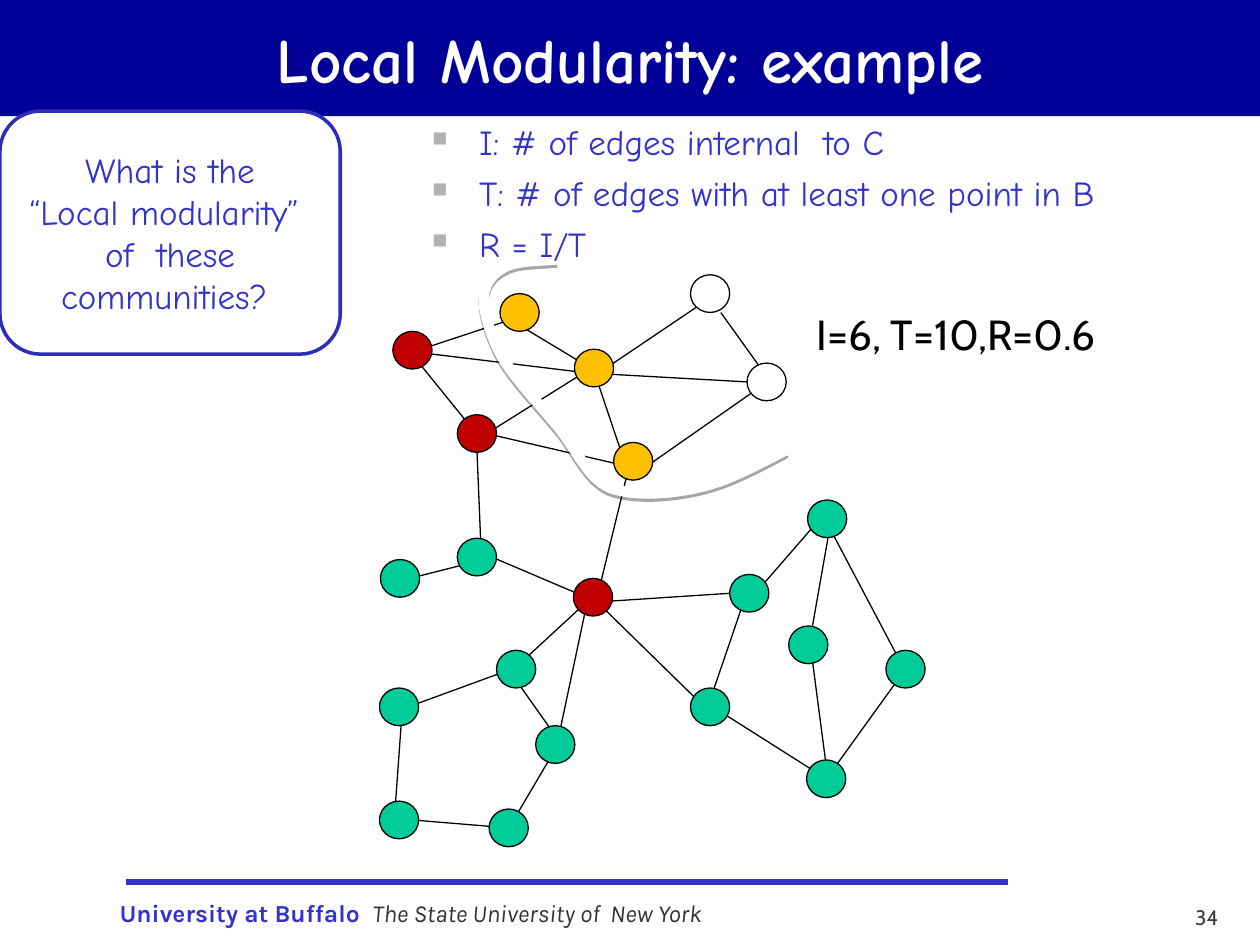
import pptx
import pptx.dml.color
import pptx.enum.shapes
import pptx.enum.text
import pptx.oxml
import pptx.oxml.ns
import pptx.util

Cm, Pt = pptx.util.Cm, pptx.util.Pt
Align = pptx.enum.text.PP_ALIGN
Anchor = pptx.enum.text.MSO_ANCHOR
Preset = pptx.enum.shapes.MSO_SHAPE

BLUE = "3333CC"
BLACK = "000000"
NODE_SIZE = (0.79, 0.76)

NODES = {
    "FFC000": [(10.08, 5.92), (11.58, 7.04), (12.37, 8.92)],
    "C00000": [(7.92, 6.68), (9.22, 8.36), (11.56, 11.66)],
    "FFFFFF": [(15.06, 7.32), (13.92, 5.54)],
    "00CC99": [(9.22, 10.85), (7.65, 13.87), (10.01, 13.11), (14.71, 11.58),
               (7.65, 16.15), (10.8, 14.63), (13.92, 13.87), (17.86, 13.11),
               (16.26, 15.32), (9.86, 16.31), (16.28, 10.08), (7.67, 11.28),
               (15.9, 12.62)],
}

EDGES = [
    (10.49, 6.38, 8.28, 7.11), (9.68, 11.3, 8.18, 11.68),
    (18.24, 13.51, 16.66, 10.52), (11.86, 7.52, 8.48, 7.11),
    (11.91, 7.29, 12.67, 9.55), (12.7, 9.32, 12.07, 11.91),
    (14.25, 6.05, 12.07, 7.52), (9.6, 8.71, 9.7, 11.13),
    (9.68, 8.84, 8.28, 7.11), (12.65, 9.4, 9.68, 8.71),
    (15.44, 7.72, 12.85, 9.53), (11.63, 11.96, 9.68, 11.13),
    (12.07, 7.52, 10.46, 6.55), (10.39, 13.46, 8.23, 14.25),
    (8.1, 14.43, 7.95, 16.51), (11.84, 12.12, 11.25, 14.91),
    (11.25, 14.91, 10.26, 13.51), (11.89, 11.99, 14.25, 14.3),
    (11.68, 12.27, 10.39, 13.46), (16.66, 10.31, 15.27, 11.91),
    (18.24, 13.51, 16.66, 15.7), (14.96, 12.22, 14.38, 13.92),
    (16.66, 15.7, 14.45, 14.3), (14.71, 11.96, 12.27, 12.12),
    (11.68, 7.57, 9.86, 8.71), (14.53, 6.3, 15.57, 7.75),
    (11.25, 15.01, 10.26, 16.69), (10.26, 16.69, 8.08, 16.51),
    (15.44, 7.72, 11.86, 7.52), (16.69, 10.85, 16.33, 12.9),
    (16.33, 12.95, 16.64, 15.32),
]

BOUNDARY = [
    (11.23, 5.23), (10.82, 5.26), (10.41, 5.26), (10.19, 5.38),
    (9.93, 5.51), (9.78, 5.69), (9.75, 5.99), (9.75, 6.3),
    (9.88, 6.76), (10.13, 7.21), (10.39, 7.65), (10.92, 8.2),
    (11.28, 8.64), (11.63, 9.07), (11.84, 9.63), (12.29, 9.83),
    (12.78, 10.01), (13.49, 9.96), (14.07, 9.83), (14.68, 9.7),
    (15.27, 9.37), (15.85, 9.07),
]


def rgb(value):
    return pptx.dml.color.RGBColor.from_string(value)


def xml(tag, attributes="", inner=""):
    return pptx.oxml.parse_xml(
        f'<a:{tag} {pptx.oxml.ns.nsdecls("a")} {attributes}>{inner}</a:{tag}>')


def bezier_points(controls, steps=16):
    points = [controls[0]]
    for i in range(0, len(controls) - 1, 3):
        segment = controls[i:i + 4]
        for step in range(1, steps + 1):
            t = step / steps
            weights = ((1 - t) ** 3, 3 * t * (1 - t) ** 2, 3 * t * t * (1 - t), t ** 3)
            points.append(tuple(sum(w * p[axis] for w, p in zip(weights, segment))
                                for axis in (0, 1)))
    return points


class SlideBuilder:
    heading_font = "Comic Neue"
    footer_font = "Karla"
    plain_font = "Cabin"

    def __init__(self, slide):
        self.slide = slide
        self.shapes = slide.shapes

    def add_lines(self, frame, lines, font, size, color, align=Align.LEFT,
                  bold=False, italic=False, bulleted=False):
        for i, line in enumerate(lines):
            paragraph = frame.paragraphs[0] if i == 0 else frame.add_paragraph()
            paragraph.alignment = align
            if bulleted:
                properties = paragraph._p.get_or_add_pPr()
                properties.set("marL", str(Cm(2.22)))
                properties.set("indent", str(-Cm(0.95)))
                properties.append(xml("buClr", inner='<a:srgbClr val="B2B2B2"/>'))
                properties.append(xml("buSzPct", 'val="60000"'))
                properties.append(xml("buChar", 'char="■"'))
                if i:
                    paragraph.space_before = Pt(5)
            run = paragraph.add_run()
            run.text = line
            run.font.name = font
            run.font.size = Pt(size)
            run.font.bold = bold
            run.font.italic = italic
            run.font.color.rgb = rgb(color)

    def title(self, text, left, top, width, height):
        title = self.shapes.title
        title.left, title.top, title.width, title.height = map(Cm, (left, top, width, height))
        title.fill.solid()
        title.fill.fore_color.rgb = rgb("000099")
        title.text_frame.auto_size = pptx.enum.text.MSO_AUTO_SIZE.NONE
        title.text_frame.vertical_anchor = Anchor.MIDDLE
        self.add_lines(title.text_frame, [text], self.heading_font, 36, "FFFFFF",
                       Align.CENTER, bold=True)

    def text(self, lines, left, top, width, height, font, size, color,
             wrap=False, anchor=Anchor.TOP, **style):
        frame = self.shapes.add_textbox(*map(Cm, (left, top, width, height))).text_frame
        frame.word_wrap = wrap
        frame.vertical_anchor = anchor
        self.add_lines(frame, lines, font, size, color, **style)
        return frame

    def shape(self, preset, left, top, width, height, fill, line, weight):
        shape = self.shapes.add_shape(preset, *map(Cm, (left, top, width, height)))
        shape.shadow.inherit = False
        shape.fill.solid()
        shape.fill.fore_color.rgb = rgb(fill)
        shape.line.color.rgb = rgb(line)
        shape.line.width = Pt(weight)
        return shape

    def line(self, x1, y1, x2, y2, color=BLACK, weight=0.75):
        connector = self.shapes.add_connector(
            pptx.enum.shapes.MSO_CONNECTOR.STRAIGHT, *map(Cm, (x1, y1, x2, y2)))
        connector.line.color.rgb = rgb(color)
        connector.line.width = Pt(weight)
        connector._element.spPr.append(xml("effectLst"))

    def curve(self, controls):
        start, *rest = [(Cm(x), Cm(y)) for x, y in bezier_points(controls)]
        outline = self.shapes.build_freeform(*start)
        outline.add_line_segments(rest, close=False)
        curve = outline.convert_to_shape()
        curve.fill.background()
        curve.line.color.rgb = rgb("FFFFFF")
        curve.line.width = Pt(6)
        curve.shadow.inherit = False
        effects = curve._element.spPr.find(pptx.oxml.ns.qn("a:effectLst"))
        effects.append(xml(
            "outerShdw", f'blurRad="0" dist="{Pt(1.8)}" dir="5400000" rotWithShape="0"',
            '<a:srgbClr val="000000"><a:alpha val="35000"/></a:srgbClr>'))


def main():
    deck = pptx.Presentation()
    deck.slide_width, deck.slide_height = Cm(25.4), Cm(19.05)
    page = SlideBuilder(deck.slides.add_slide(deck.slide_layouts[5]))

    page.line(2.54, 17.78, 20.32, 17.78, BLUE, 3)
    page.text(["University at Buffalo"], 2.16, 17.98, 5.61, 0.86,
              page.footer_font, 14, BLUE, bold=True)
    page.text(["The State University of  New York"], 7.26, 17.98, 7.7, 0.86,
              page.footer_font, 14, "333333", italic=True)
    page.title("Local Modularity: example", 0, 0, 25.4, 2.34)

    for edge in EDGES:
        page.line(*edge)
    for color, positions in NODES.items():
        for position in positions:
            page.shape(Preset.OVAL, *position, *NODE_SIZE, color, BLACK, 0.75)
    page.text(["I=6, T=10,R=0.6"], 16.21, 6.1, 6.55, 1.27, page.plain_font, 24, BLACK)
    page.curve(BOUNDARY)

    page_number = page.text(["34"], 22.78, 17.98, 2.03, 0.76, page.plain_font, 12, "3F3F3F",
                            wrap=True, anchor=Anchor.BOTTOM, align=Align.RIGHT)
    page_number.margin_bottom = 0

    question = page.shape(Preset.ROUNDED_RECTANGLE, 0, 2.24, 6.86, 4.9,
                          "FFFFFF", "2D2DB9", 2).text_frame
    question.word_wrap = True
    question.vertical_anchor = Anchor.MIDDLE
    page.add_lines(question, ["What is the", "“Local modularity” ", "of  these communities? "],
                   page.heading_font, 20, BLUE, Align.CENTER)

    page.text(["I: # of edges internal  to C",
               "T: # of edges with at least one point in B",
               "R = I/T"], 7.19, 2.31, 18.21, 3.15, page.heading_font, 20, BLUE,
              wrap=True, bulleted=True)

    deck.save("out.pptx")


if __name__ == "__main__":
    main()
